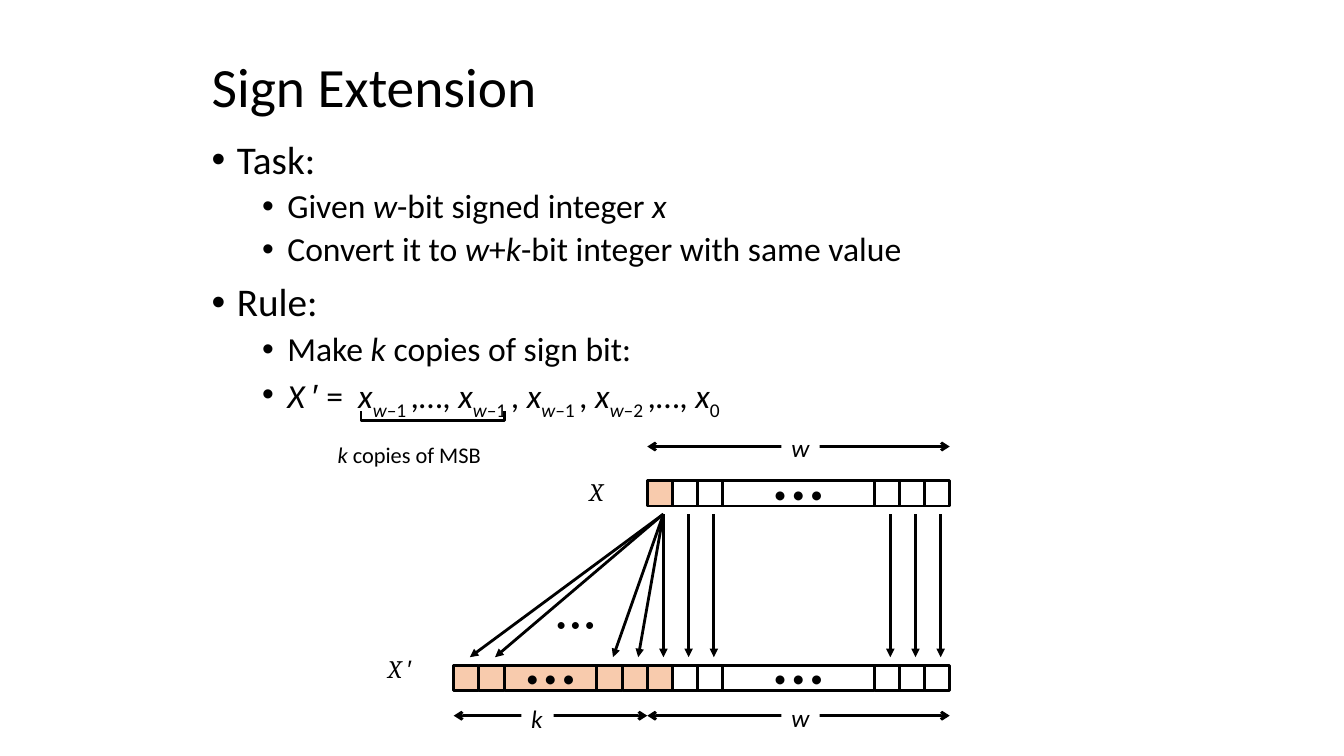
from lxml.etree import SubElement
from pptx import Presentation
from pptx.dml.color import RGBColor
from pptx.enum.shapes import MSO_CONNECTOR, MSO_SHAPE
from pptx.enum.text import MSO_ANCHOR, MSO_AUTO_SIZE, PP_ALIGN
from pptx.oxml.ns import qn
from pptx.util import Inches, Pt

BLACK, WHITE, SIGN = "000000", "FFFFFF", "F8CBAD"
DOTS = "• • •"


def write_runs(paragraph, runs, size, face="Calibri"):
    """Add (text, style) runs; style letters: i italic, s subscript, a Arial."""
    for text, style in runs:
        run = paragraph.add_run()
        run.text = text
        run.font.size = Pt(size)
        run.font.name = "Arial" if "a" in style else face
        run.font.italic = "i" in style
        run.font.color.rgb = RGBColor.from_string(BLACK)
        if "s" in style:
            run.font._element.set("baseline", "-25000")


def draw_arrow(start, end, **heads):
    """Connect two points given in inches; heads are headEnd and tailEnd types."""
    arrow = slide.shapes.add_connector(
        MSO_CONNECTOR.STRAIGHT, *(Inches(v) for v in start + end))
    arrow.line.color.rgb = RGBColor.from_string(BLACK)
    arrow.line.width = Pt(2)
    for tag, kind in heads.items():
        SubElement(arrow.line._get_or_add_ln(), qn(f"a:{tag}"), type=kind)
    SubElement(arrow._element.spPr, qn("a:effectLst"))


deck = Presentation()
deck.slide_width, deck.slide_height = Inches(13.33), Inches(7.5)
slide = deck.slides.add_slide(deck.slide_layouts[1])

# Title and outline
title, body = slide.placeholders
for holder, (left, top, width, height) in (
    (title, (2, 0.58, 6.68, 0.61)),
    (body, (2, 1.34, 9.07, 5.71)),
):
    holder.left, holder.top = Inches(left), Inches(top)
    holder.width, holder.height = Inches(width), Inches(height)
    holder.text_frame.auto_size = MSO_AUTO_SIZE.NONE

title.text_frame.vertical_anchor = MSO_ANCHOR.MIDDLE
heading = title.text_frame.paragraphs[0]
heading.alignment = PP_ALIGN.LEFT
heading.line_spacing = 0.9
write_runs(heading, [("Sign Extension", "")], 39.6)

msb = [("x", "i"), ("w", "is"), ("–1 ", "s")]
outline = [
    (0, [("Task:", "")]),
    (1, [("Given ", ""), ("w", "i"), ("-bit signed integer ", ""), ("x", "i")]),
    (1, [("Convert it to ", ""), ("w", "i"), ("+", ""), ("k", "i"),
         ("-bit integer with same value", "")]),
    (0, [("Rule:", "")]),
    (1, [("Make ", ""), ("k", "i"), (" copies of sign bit:", "")]),
    (1, [("X ", "i"), ("′", "a"), (" =  ", ""), *msb, (",…, ", ""), *msb,
         (", ", ""), *msb, (", ", ""), ("x", "i"), ("w", "is"), ("–2 ", "s"),
         (",…, ", ""), ("x", "i"), ("0", "s")]),
]
for index, (level, runs) in enumerate(outline):
    frame = body.text_frame
    item = frame.add_paragraph() if index else frame.paragraphs[0]
    item.level = level
    item.line_spacing = 0.9
    item.space_before = Pt(5 if level else 10)
    properties = item._p.get_or_add_pPr()
    properties.set("marL", str(Inches(0.25 + 0.5 * level)))
    properties.set("indent", str(Inches(-0.25)))
    SubElement(properties, qn("a:buFont"), typeface="Arial")
    SubElement(properties, qn("a:buChar"), char="•")
    write_runs(item, runs, 24 if level else 28)

# Bracket under the copied sign bits
builder = slide.shapes.build_freeform(Inches(3.58), Inches(4.08))
builder.add_line_segments(
    [(Inches(x), Inches(y)) for x, y in ((3.58, 4.17), (5, 4.17), (5, 4.08))],
    close=False)
bracket = builder.convert_to_shape()
bracket.fill.background()
bracket.line.color.rgb = RGBColor.from_string(BLACK)
bracket.line.width = Pt(2)
bracket.shadow.inherit = False

# Bit rows: X has w bits, X′ has k extra sign bits in front
BIT = 0.25
X_TOP, EXTENDED_TOP = 4.77, 6.6
K_LEFT, W_LEFT, RIGHT = 4.5, 6.42, 9.42
copy_bits = [K_LEFT, K_LEFT + BIT, W_LEFT - 2 * BIT, W_LEFT - BIT]
value_bits = [W_LEFT + BIT, W_LEFT + 2 * BIT] + [RIGHT - n * BIT for n in (3, 2, 1)]
word = [(W_LEFT, BIT, SIGN, "")]
word += [(left, BIT, WHITE, "") for left in value_bits]
word.append((W_LEFT + 3 * BIT, RIGHT - W_LEFT - 6 * BIT, WHITE, DOTS))
extension = [(left, BIT, SIGN, "") for left in copy_bits]
extension.append((K_LEFT + 2 * BIT, W_LEFT - K_LEFT - 4 * BIT, SIGN, DOTS))

for top, cells in ((X_TOP, word), (EXTENDED_TOP, extension + word)):
    for left, width, fill, text in cells:
        cell = slide.shapes.add_shape(
            MSO_SHAPE.RECTANGLE, Inches(left), Inches(top), Inches(width), Inches(BIT))
        cell.shadow.inherit = False
        cell.fill.solid()
        cell.fill.fore_color.rgb = RGBColor.from_string(fill)
        cell.line.color.rgb = RGBColor.from_string(BLACK)
        cell.line.width = Pt(2)
        if text:
            cell.text_frame.word_wrap = False
            cell.text_frame.vertical_anchor = MSO_ANCHOR.MIDDLE
            cell.text_frame.paragraphs[0].alignment = PP_ALIGN.CENTER
            write_runs(cell.text_frame.paragraphs[0], [(text, "")], 18)

# The sign bit fans out, every other bit drops straight down
sign_targets = [(W_LEFT, left) for left in copy_bits + [W_LEFT]]
for source, target in sign_targets + [(left, left) for left in value_bits]:
    draw_arrow((source + 0.16, 5.1), (target + 0.16, 6.52), tailEnd="triangle")

# Width markers
for left, right, y in ((W_LEFT, RIGHT, 4.43), (W_LEFT, RIGHT, 7.1), (K_LEFT, W_LEFT, 7.1)):
    draw_arrow((left, y), (right, y), headEnd="arrow", tailEnd="arrow")

labels = [
    (3.25, 4.33, 1.67, 0.37, [("k", "i"), (" copies of MSB", "")], 16, "Calibri", None),
    (5.75, 4.68, 0.43, 0.4, [("X", "i")], 18, "Cambria", None),
    (3.75, 6.43, 0.49, 0.4, [("X ", "i"), ("′", "a")], 18, "Cambria", None),
    (5.42, 6.02, 0.58, 0.34, [(DOTS, "")], 14, "Calibri", None),
    (7.75, 4.24, 0.38, 0.4, [("w", "i")], 18, "Calibri", WHITE),
    (7.75, 6.92, 0.38, 0.4, [("w", "i")], 18, "Calibri", WHITE),
    (5.17, 6.93, 0.32, 0.4, [("k", "i")], 18, "Calibri", WHITE),
]
for left, top, width, height, runs, size, face, fill in labels:
    label = slide.shapes.add_textbox(
        Inches(left), Inches(top), Inches(width), Inches(height))
    label.text_frame.word_wrap = False
    label.text_frame.auto_size = MSO_AUTO_SIZE.SHAPE_TO_FIT_TEXT
    if fill:
        label.fill.solid()
        label.fill.fore_color.rgb = RGBColor.from_string(fill)
    write_runs(label.text_frame.paragraphs[0], runs, size, face)

deck.save("out.pptx")
